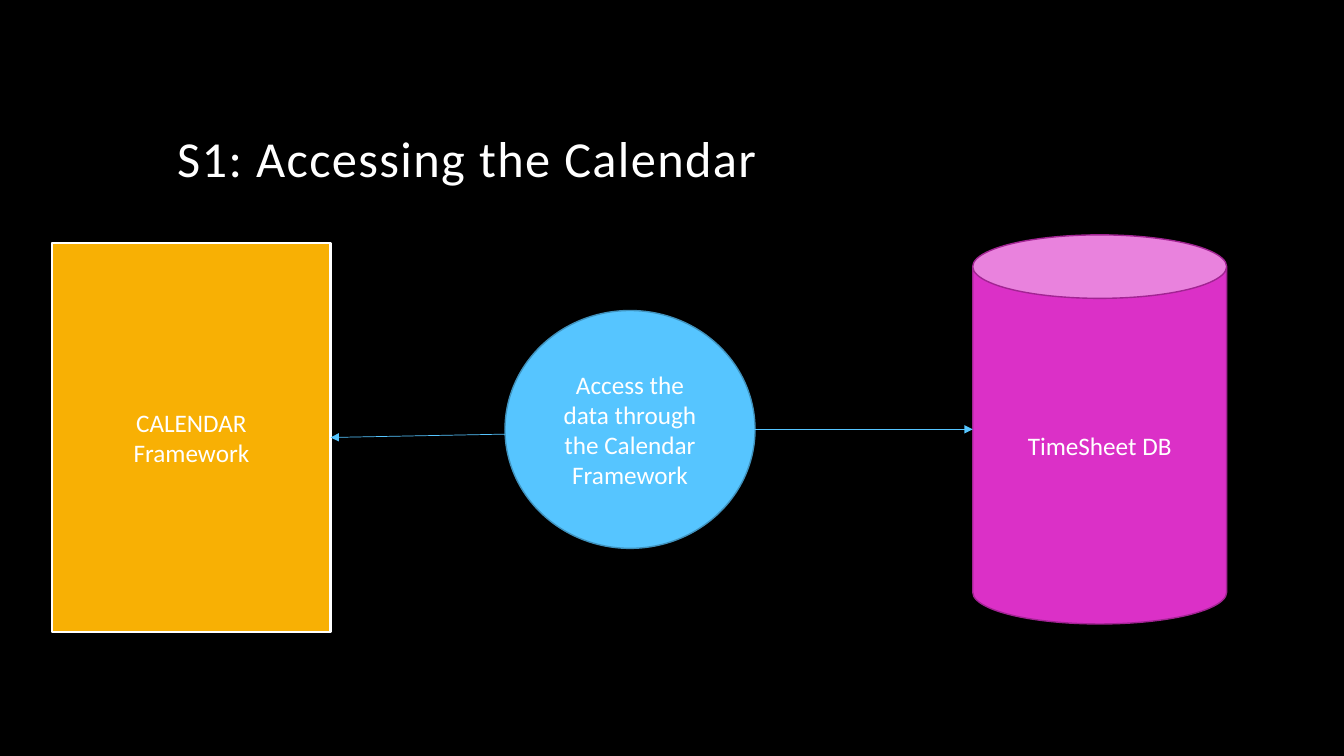
"""Build the slide on accessing the calendar."""
from dataclasses import dataclass

from lxml.etree import SubElement
from pptx import Presentation
from pptx.dml.color import RGBColor as RGB
from pptx.enum.shapes import MSO_CONNECTOR as Link
from pptx.enum.shapes import MSO_SHAPE as Kind
from pptx.enum.text import MSO_ANCHOR as Anchor
from pptx.enum.text import PP_ALIGN as Align
from pptx.oxml.ns import qn
from pptx.slide import Slide
from pptx.text.text import TextFrame as Frame
from pptx.util import Pt

FONT = "Calibri"
HUES = {
    "black": "000000",
    "white": "FFFFFF",
    "amber": "F8B004",
    "sky": "56C5FF",
    "steel": "4092BD",
    "pink": "DB30C7",
    "plum": "A22493",
}


@dataclass
class Node:
    kind: Kind
    box: tuple[float, float, float, float]
    fill: str
    edge: str
    width: float
    text: str


@dataclass
class Arrow:
    start: tuple[float, float]
    end: tuple[float, float]


NODES = [
    Node(Kind.RECTANGLE, (37.4, 173.5, 198.7, 277.9),
         "amber", "white", 1.5, "CALENDAR\nFramework"),
    Node(Kind.OVAL, (360.7, 221.8, 178.6, 169.9),
         "sky", "steel", 1, "Access the data through the Calendar Framework"),
    Node(Kind.CAN, (694.8, 167.8, 181.4, 277.9),
         "pink", "plum", 1, "TimeSheet DB"),
]
HUB = (539.3, 306.7)
ARROWS = [Arrow(HUB, (236.1, 312.5)), Arrow(HUB, (694.8, 306.7))]


def hue(name: str) -> RGB:
    return RGB.from_string(HUES[name])


def write(frame: Frame, text: str, size: float, align: Align, anchor: Anchor) -> None:
    frame.text = text
    frame.word_wrap = True
    frame.vertical_anchor = anchor
    for par in frame.paragraphs:
        par.alignment = align
        for run in par.runs:
            run.font.name = FONT
            run.font.size = Pt(size)
            run.font.color.rgb = hue("white")


def add_title(slide: Slide, text: str) -> None:
    box = slide.shapes.add_textbox(Pt(119.5), Pt(30.2), Pt(720), Pt(108))
    write(box.text_frame, text, 36, Align.LEFT, Anchor.BOTTOM)
    par = box.text_frame.paragraphs[0]
    par.line_spacing = 0.9
    par.runs[0].font._element.set("spc", "100")


def add_node(slide: Slide, node: Node) -> None:
    shape = slide.shapes.add_shape(node.kind, *map(Pt, node.box))
    shape.shadow.inherit = False
    shape.fill.solid()
    shape.fill.fore_color.rgb = hue(node.fill)
    shape.line.color.rgb = hue(node.edge)
    shape.line.width = Pt(node.width)
    write(shape.text_frame, node.text, 18, Align.CENTER, Anchor.MIDDLE)


def add_arrow(slide: Slide, arrow: Arrow) -> None:
    ends = map(Pt, arrow.start + arrow.end)
    link = slide.shapes.add_connector(Link.STRAIGHT, *ends)
    link.line.color.rgb = hue("sky")
    link.line.width = Pt(0.5)
    SubElement(link.line._get_or_add_ln(), qn("a:tailEnd"), type="triangle")
    SubElement(link._element.spPr, qn("a:effectLst"))


def main() -> None:
    deck = Presentation()
    deck.slide_width, deck.slide_height = Pt(960), Pt(540)
    slide = deck.slides.add_slide(deck.slide_layouts[6])
    back = slide.background.fill
    back.solid()
    back.fore_color.rgb = hue("black")
    add_title(slide, "S1: Accessing the Calendar")
    for node in NODES:
        add_node(slide, node)
    for arrow in ARROWS:
        add_arrow(slide, arrow)
    deck.save("out.pptx")


if __name__ == "__main__":
    main()
